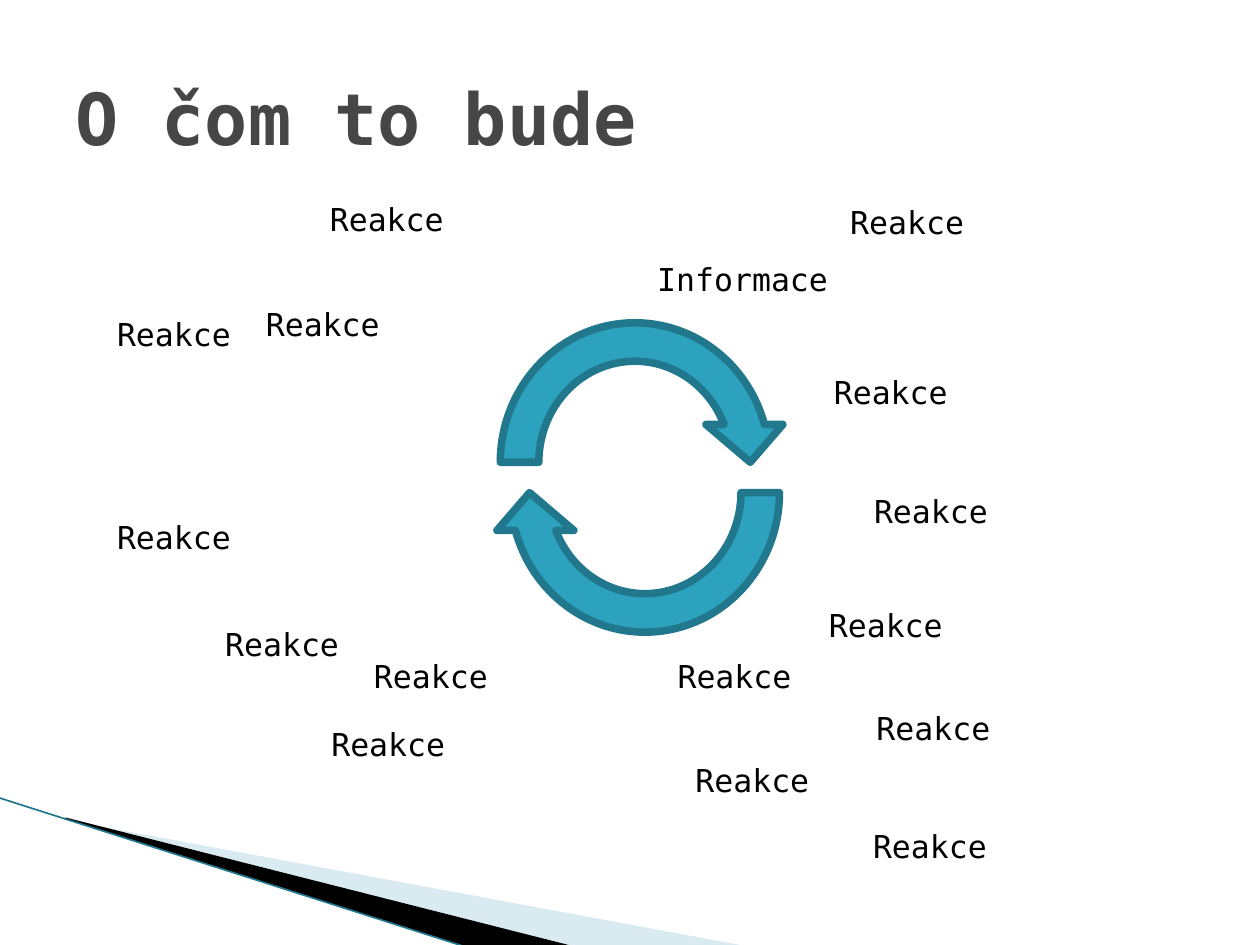
from collections import namedtuple

from lxml import etree
from pptx import Presentation
from pptx.dml.color import RGBColor
from pptx.enum import shapes, text
from pptx.oxml.ns import qn
from pptx.util import Cm, Pt

Box = namedtuple("Box", "left top width height")

FONT = "DejaVu Sans Mono"
BLACK = RGBColor(0x00, 0x00, 0x00)
GREY = RGBColor(0x46, 0x46, 0x46)
TEAL = RGBColor(0x2D, 0xA2, 0xBF)
DARK_TEAL = RGBColor(0x21, 0x78, 0x8D)
PALE_BLUE = RGBColor(0xA0, 0xCB, 0xDC)

WORD_WIDTH, WORD_HEIGHT = 7.01, 1.02
INFORMATION_SPOT = (10.89, 1.2)
REACTION_SPOTS = [
    (11.3, 9.22), (4.29, 0), (4.32, 10.59), (14.35, 8.18), (14.78, 0.05),
    (2.18, 8.56), (11.66, 11.3), (0, 2.31), (14.45, 3.48), (15.24, 12.63),
    (5.18, 9.22), (0, 6.4), (3, 2.11), (15.26, 5.89), (15.31, 10.26),
]


def add_text(slide, box, wording, size, color, bold=False,
             anchor=text.MSO_ANCHOR.TOP):
    frame = slide.shapes.add_textbox(*map(Cm, box)).text_frame
    frame.word_wrap = True
    frame.vertical_anchor = anchor
    run = frame.paragraphs[0].add_run()
    run.text = wording
    run.font.name = FONT
    run.font.size = Pt(size)
    run.font.bold = bold
    run.font.color.rgb = color


def add_wedge(slide, box, corners, color, opacity=100):
    """Draw a borderless polygon; corners are in cm from the box's corner."""
    points = [(Cm(box.left + x), Cm(box.top + y)) for x, y in corners]
    builder = slide.shapes.build_freeform(*points[0])
    builder.add_line_segments(points[1:], close=True)
    wedge = builder.convert_to_shape()
    wedge.shadow.inherit = False
    wedge.line.fill.background()
    wedge.fill.solid()
    wedge.fill.fore_color.rgb = color
    if opacity < 100:
        tint = wedge._element.spPr.find(".//" + qn("a:srgbClr"))
        etree.SubElement(tint, qn("a:alpha")).set("val", str(opacity * 1000))


def add_corner_decoration(slide, box):
    add_wedge(slide, box, [(1.4, 0.46), (15.11, 3), (11.58, 3), (1.4, 0.43)],
              PALE_BLUE, opacity=40)
    add_wedge(slide, box, [(1.35, 0.4), (11.61, 3), (9.45, 3.02), (1.37, 0.43)],
              BLACK)
    edge = slide.shapes.add_connector(
        shapes.MSO_CONNECTOR.STRAIGHT, Cm(box.left), Cm(box.top),
        Cm(box.left + box.width), Cm(box.top + box.height))
    edge.line.color.rgb = DARK_TEAL
    edge.line.width = Pt(0.95)
    etree.SubElement(edge._element.spPr, qn("a:effectLst"))


def add_cycle(slide, box):
    """Two half-turn arrows, the lower one in the box's bottom right corner."""
    width, height = 6.2, 6.4
    for left, top, rotation in [
            (box.left, box.top, 0),
            (box.left + box.width - width, box.top + box.height - height, 180)]:
        arrow = slide.shapes.add_shape(
            shapes.MSO_SHAPE.CIRCULAR_ARROW,
            Cm(left), Cm(top), Cm(width), Cm(height))
        arrow.rotation = rotation
        arrow.shadow.inherit = False
        arrow.fill.solid()
        arrow.fill.fore_color.rgb = TEAL
        arrow.line.color.rgb = DARK_TEAL
        arrow.line.width = Pt(4.33)
        etree.SubElement(arrow._element.spPr.find(qn("a:ln")), qn("a:round"))


def add_words(slide, box):
    words = [("Informace", INFORMATION_SPOT)]
    words += [("Reakce", spot) for spot in REACTION_SPOTS]
    for word, (x, y) in words:
        place = Box(box.left + x, box.top + y, WORD_WIDTH, WORD_HEIGHT)
        add_text(slide, place, word, 18, BLACK)


def main():
    deck = Presentation()
    deck.slide_width, deck.slide_height = Cm(25.4), Cm(19.05)
    slide = deck.slides.add_slide(deck.slide_layouts[6])
    add_corner_decoration(slide, Box(-0.03, 16.08, 9.45, 3.02))
    add_text(slide, Box(1.27, 0.76, 22.86, 3.18), "O čom to bude", 41, GREY,
             bold=True, anchor=text.MSO_ANCHOR.MIDDLE)
    add_cycle(slide, Box(9.7, 6.12, 6.4, 7.01))
    add_words(slide, Box(2.11, 3.91, 22.32, 13.65))
    deck.save("out.pptx")


if __name__ == "__main__":
    main()
